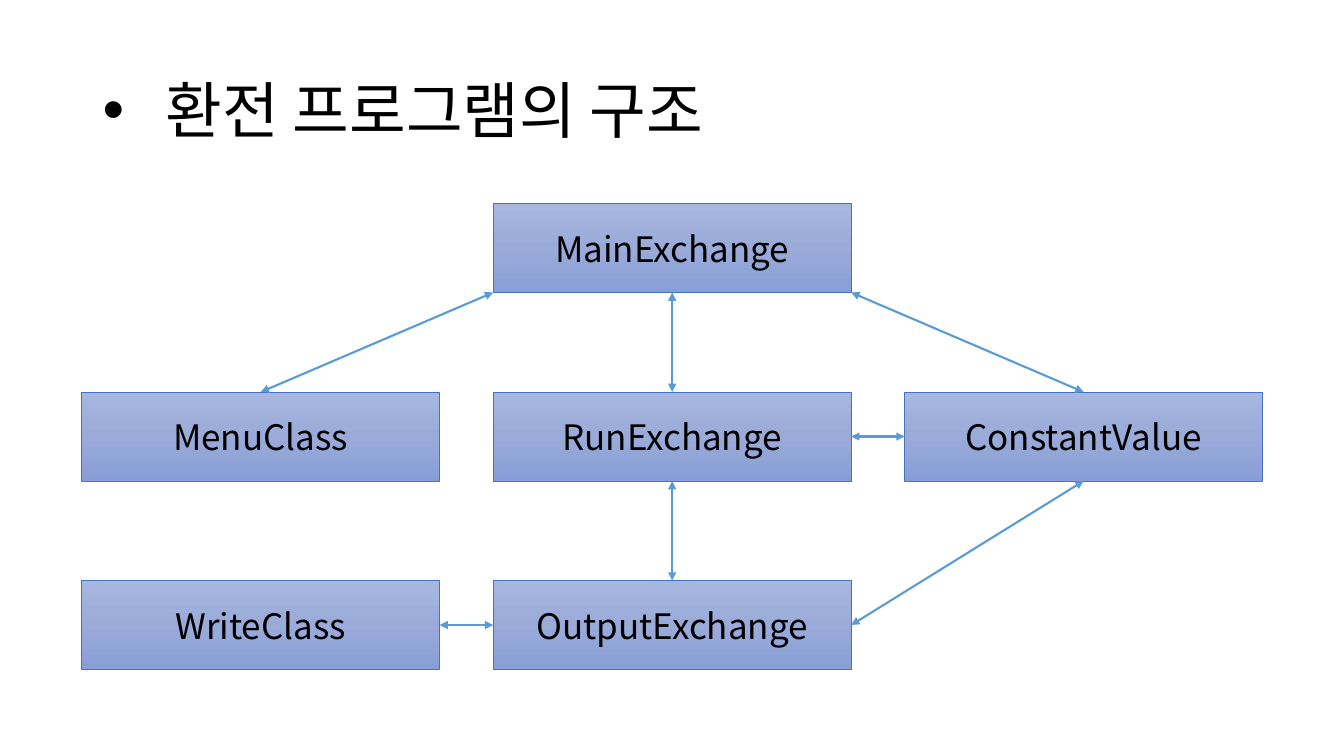
from copy import deepcopy

from pptx import Presentation
from pptx.dml.color import RGBColor as Rgb
from pptx.enum.shapes import MSO_CONNECTOR as Link, MSO_SHAPE as Shape
from pptx.enum.text import MSO_ANCHOR as Anchor, MSO_AUTO_SIZE as Auto, PP_ALIGN as Align
from pptx.oxml.ns import qn
from pptx.oxml.xmlchemy import OxmlElement as Tag
from pptx.util import Cm, Pt

FONT = "Noto Sans CJK KR"
HUES = {"text": "000000", "edge": "4472C4", "arrow": "5B9BD5",
        "top": "A8B7DF", "mid": "9AABD9", "low": "889ED7"}
STOPS = (("top", 0), ("mid", 0.5), ("low", 1))

LEFT, TOP, WIDE, HIGH = 2.06, 5.13, 9.02, 2.24
STEP_X, STEP_Y = 10.37, 4.75

# Name: (column, row)
BOXES = {
    "MainExchange": (1, 0),
    "MenuClass": (0, 1),
    "RunExchange": (1, 1),
    "ConstantValue": (2, 1),
    "WriteClass": (0, 2),
    "OutputExchange": (1, 2),
}
# Connection sites of the side middles come first, then the lower corners.
SITES = ((0.5, 0), (0, 0.5), (0.5, 1), (1, 0.5), (0, 1), (1, 1))
UP, WEST, DOWN, EAST, LOW_WEST, LOW_EAST = range(6)
ARROWS = (
    ("MainExchange", DOWN, "RunExchange", UP, 1.5),
    ("MainExchange", LOW_WEST, "MenuClass", UP, 1.5),
    ("MainExchange", LOW_EAST, "ConstantValue", UP, 1.5),
    ("RunExchange", DOWN, "OutputExchange", UP, 1.5),
    ("ConstantValue", DOWN, "OutputExchange", EAST, 1.5),
    ("ConstantValue", WEST, "RunExchange", EAST, 1.5),
    ("OutputExchange", WEST, "WriteClass", EAST, 1),
)


def color(key):
    return Rgb.from_string(HUES[key])


def add_run(para, text, size):
    run = para.add_run()
    run.text = text
    run.font.size = Pt(size)
    run.font.color.rgb = color("text")
    run.font.name = FONT
    east = Tag("a:ea")
    east.set("typeface", FONT)
    run.font._element.append(east)


def set_title(slide, text):
    title = slide.shapes.title
    title.left, title.top = Cm(2.33), Cm(1.01)
    title.width, title.height = Cm(29.21), Cm(3.68)
    frame = title.text_frame
    frame.auto_size = Auto.NONE
    frame.vertical_anchor = Anchor.MIDDLE
    para = frame.paragraphs[0]
    para.alignment = Align.LEFT
    para.line_spacing = 0.9
    add_run(para, text, 44)
    props = para._p.get_or_add_pPr()
    props.set("marL", str(Cm(1.59)))
    props.set("indent", str(Cm(-1.59)))
    for name, key, value in (("a:buFont", "typeface", "Arial"), ("a:buChar", "char", "•")):
        tag = Tag(name)
        tag.set(key, value)
        props.append(tag)


def shade(box):
    """Fill a box with the three-stop gradient, running downwards."""
    box.fill.gradient()
    box.fill.gradient_angle = 270
    items = box._element.spPr.find(".//" + qn("a:gsLst"))
    items.append(deepcopy(items[-1]))
    for stop, (key, place) in zip(box.fill.gradient_stops, STOPS):
        stop.color.rgb = color(key)
        stop.position = place


def add_box(slide, text, col, row):
    box = slide.shapes.add_shape(
        Shape.RECTANGLE, Cm(LEFT + col * STEP_X), Cm(TOP + row * STEP_Y), Cm(WIDE), Cm(HIGH))
    box.shadow.inherit = False
    shade(box)
    box.line.color.rgb = color("edge")
    box.line.width = Pt(0.5)
    box.text_frame.vertical_anchor = Anchor.MIDDLE
    para = box.text_frame.paragraphs[0]
    para.alignment = Align.CENTER
    add_run(para, text, 25)
    return box


def point(box, site):
    across, down = SITES[site]
    return box.left + int(across * box.width), box.top + int(down * box.height)


def add_arrow(slide, start, out, end, into, width):
    """Draw a double-headed arrow, joined wherever it meets a side's middle."""
    arrow = slide.shapes.add_connector(Link.STRAIGHT, *point(start, out), *point(end, into))
    if out <= EAST:
        arrow.begin_connect(start, out)
    if into <= EAST:
        arrow.end_connect(end, into)
    arrow.line.color.rgb = color("arrow")
    arrow.line.width = Pt(width)
    for name in ("a:headEnd", "a:tailEnd"):
        tip = Tag(name)
        tip.set("type", "triangle")
        arrow.line._get_or_add_ln().append(tip)
    arrow._element.spPr.append(Tag("a:effectLst"))


def main():
    deck = Presentation()
    deck.slide_width, deck.slide_height = Cm(33.87), Cm(19.05)
    slide = deck.slides.add_slide(deck.slide_layouts[5])
    set_title(slide, "환전 프로그램의 구조")
    boxes = {name: add_box(slide, name, *cell) for name, cell in BOXES.items()}
    for start, out, end, into, width in ARROWS:
        add_arrow(slide, boxes[start], out, boxes[end], into, width)
    deck.save("out.pptx")


if __name__ == "__main__":
    main()
